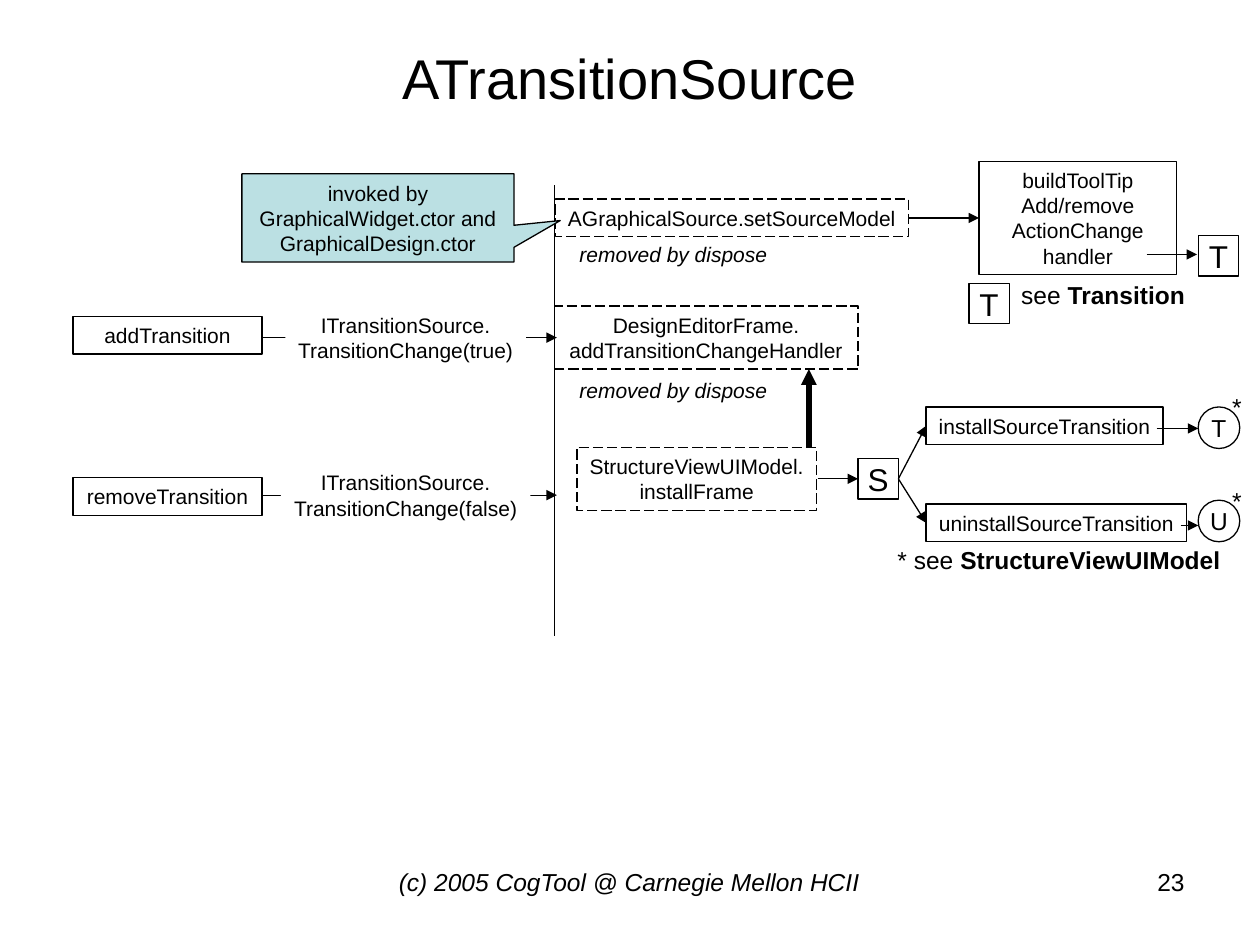
from dataclasses import dataclass
from typing import Any, NamedTuple

from lxml.etree import SubElement
from pptx import Presentation
from pptx.dml.color import RGBColor
from pptx.enum.dml import MSO_LINE as Dash
from pptx.enum.shapes import MSO_CONNECTOR as Wire, MSO_SHAPE as Kind
from pptx.enum.text import MSO_ANCHOR as Anchor, PP_ALIGN as Align
from pptx.oxml.ns import qn
from pptx.util import Emu, Pt

SCALE = 9144


@dataclass(frozen=True)
class Theme:
    """Hold the colours, font, type sizes and line widths."""
    ink: RGBColor = RGBColor(0, 0, 0)
    paper: RGBColor = RGBColor(255, 255, 255)
    note: RGBColor = RGBColor(0xBB, 0xE0, 0xE3)
    font: str = "Arial"
    title: int = 32
    mark: int = 18
    small: int = 14
    body: int = 12
    thin: float = 0.75
    thick: float = 3


THEME = Theme()


class Area(NamedTuple):
    """Hold a region's shapes and its box in px."""
    shapes: Any
    x: int
    y: int
    w: int
    h: int


def px(num):
    """Turn px into EMU."""
    return Emu(round(num * SCALE))


def write(frame, lines, size, align=Align.CENTER, wrap=False, anchor=Anchor.MIDDLE):
    """Write lines of (text, style) runs into a text frame."""
    frame.word_wrap = wrap
    frame.vertical_anchor = anchor
    for num, line in enumerate(lines):
        para = frame.add_paragraph() if num else frame.paragraphs[0]
        para.alignment = align
        for text, style in ([(line, "")] if isinstance(line, str) else line):
            run = para.add_run()
            run.text = text
            font = run.font
            font.name, font.size = THEME.font, Pt(size)
            font.bold, font.italic = "b" in style, "i" in style
            font.color.rgb = THEME.ink


def place(area, rect):
    """Turn a rect inside an area into slide lengths."""
    x, y, w, h = rect
    return px(area.x + x), px(area.y + y), px(w), px(h)


def label(area, rect, lines, size=THEME.small, **style):
    """Add plain text."""
    box = area.shapes.add_textbox(*place(area, rect))
    write(box.text_frame, lines, size, **style)


def node(area, rect, lines, size=THEME.body, kind=Kind.RECTANGLE,
         fill=None, line=True, dash=False, **style):
    """Add a shape with text."""
    shape = area.shapes.add_shape(kind, *place(area, rect))
    shape.shadow.inherit = False
    if fill is None:
        shape.fill.background()
    else:
        shape.fill.solid()
        shape.fill.fore_color.rgb = fill
    if line:
        shape.line.color.rgb = THEME.ink
        shape.line.width = Pt(THEME.thin)
        if dash:
            shape.line.dash_style = Dash.LONG_DASH
    else:
        shape.line.fill.background()
    write(shape.text_frame, lines, size, **style)
    return shape


def wire(area, start, end, width=THEME.thin, head=True):
    """Add a line, with an arrowhead at its end if asked."""
    ends = [px(num) for x, y in (start, end) for num in (area.x + x, area.y + y)]
    link = area.shapes.add_connector(Wire.STRAIGHT, *ends)
    link.line.color.rgb = THEME.ink
    link.line.width = Pt(width)
    props = link._element.spPr
    if head:
        SubElement(props.find(qn("a:ln")), qn("a:tailEnd"), type="triangle")
    SubElement(props, qn("a:effectLst"))


def heading(area, text):
    """Place the slide title."""
    title = area.shapes.title
    title.left, title.top, title.width, title.height = place(area, (0, 0, area.w, area.h))
    write(title.text_frame, [text], THEME.title, wrap=True)


def handlers(area):
    """Place the divider and the handlers beside it."""
    wire(area, (0, 0), (0, area.h), head=False)
    rows = [
        ((1, 11, 280, 30), ["AGraphicalSource.setSourceModel"]),
        ((0, 96, 241, 50), ["DesignEditorFrame.", "addTransitionChangeHandler"]),
        ((18, 208, 190, 50), ["StructureViewUIModel.", "installFrame"]),
    ]
    for rect, lines in rows:
        node(area, rect, lines, dash=True)
    for y in (40, 148):
        label(area, (3, y, 183, 30), [[("removed by dispose", "i")]], THEME.body)
    wire(area, (202, 208), (202, 146), THEME.thick)


def events(area):
    """Place the callout and the events that reach the divider."""
    rows = [("addTransition", "true", 105, 8, 191),
            ("removeTransition", "false", 230, 11, 198)]
    for name, flag, y, drop, w in rows:
        node(area, (0, y + drop, 150, 30), [name])
        wire(area, (150, y + 25), (area.w, y + 25))
        node(area, (264 - w / 2, y, w, 50),
             ["ITransitionSource.", f"TransitionChange({flag})"],
             fill=THEME.paper, line=False, anchor=Anchor.TOP)
    note = node(area, (134, 0, 216, 70),
                ["invoked by GraphicalWidget.ctor and GraphicalDesign.ctor"],
                kind=Kind.RECTANGULAR_CALLOUT, fill=THEME.note,
                wrap=True, anchor=Anchor.TOP)
    note.adjustments[0], note.adjustments[1] = 0.67, 0.03


def tooltip(area):
    """Place the tool tip handler and its reference."""
    node(area, (56, 0, 157, 90),
         ["buildToolTip", "Add/remove ActionChange handler"], wrap=True)
    wire(area, (0, 45), (56, 45))
    for x, y in ((230, 59), (48, 97)):
        node(area, (x, y, 32, 32), ["T"], THEME.mark, fill=THEME.paper)
    wire(area, (189, 74), (229, 74))
    label(area, (79, 89, 151, 34), [[("see ", ""), ("Transition", "b")]])


def structure(area):
    """Place the branch to the install and uninstall steps."""
    wire(area, (0, 74), (32, 74))
    node(area, (32, 58, 32, 32), ["S"], THEME.mark)
    rows = [("installSourceTransition", "T", 0, 17, 188),
            ("uninstallSourceTransition", "U", 74, 94, 207)]
    for name, mark, y, top, w in rows:
        wire(area, (64, 74), (86, top + 15))
        node(area, (86, top, w, 30), [name])
        node(area, (302, y + 17, 33, 33), [mark], THEME.small, Kind.OVAL)
        label(area, (319, y, 27, 34), ["*"])
        wire(area, (81 + w, top + 17), (302, top + 17))
    label(area, (53, 121, 277, 34), [[("* see ", ""), ("StructureViewUIModel", "b")]])


def footer(area):
    """Place the copyright line and the page number."""
    label(area, (0, 0, 433, area.h),
          [[("(c) 2005 CogTool @ Carnegie Mellon HCII", "i")]],
          wrap=True, anchor=Anchor.TOP)
    label(area, (434, 0, 233, area.h), ["23"], align=Align.RIGHT,
          wrap=True, anchor=Anchor.TOP)


def main():
    """Build the slide and save it."""
    deck = Presentation()
    deck.slide_width, deck.slide_height = px(1000), px(750)
    shapes = deck.slides.add_slide(deck.slide_layouts[5]).shapes
    heading(Area(shapes, 50, 30, 900, 62), "ATransitionSource")
    handlers(Area(shapes, 440, 147, 281, 358))
    events(Area(shapes, 58, 138, 384, 280))
    tooltip(Area(shapes, 721, 128, 262, 129))
    structure(Area(shapes, 649, 306, 346, 155))
    footer(Area(shapes, 283, 683, 667, 52))
    deck.save("out.pptx")


if __name__ == "__main__":
    main()
